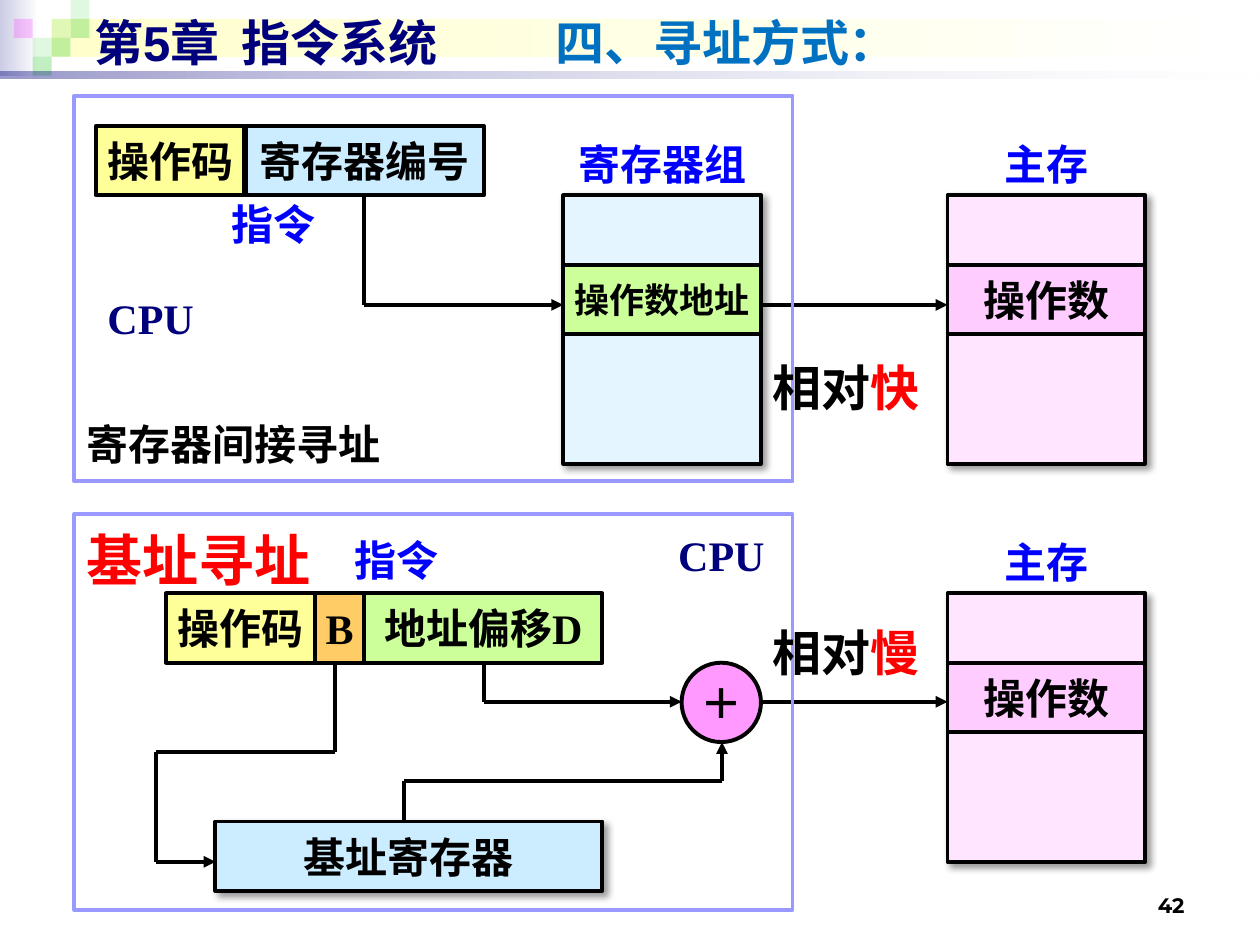
from lxml import etree
from pptx import Presentation
from pptx.dml.color import RGBColor
from pptx.enum.shapes import MSO_CONNECTOR, MSO_SHAPE
from pptx.enum.text import MSO_ANCHOR, PP_ALIGN
from pptx.oxml.ns import qn
from pptx.util import Inches, Pt

RECT, OVAL = MSO_SHAPE.RECTANGLE, MSO_SHAPE.OVAL
STRAIGHT = MSO_CONNECTOR.STRAIGHT
TOP, MIDDLE, BOTTOM = MSO_ANCHOR.TOP, MSO_ANCHOR.MIDDLE, MSO_ANCHOR.BOTTOM
LEFT, CENTER, RIGHT = PP_ALIGN.LEFT, PP_ALIGN.CENTER, PP_ALIGN.RIGHT

BLACK, WHITE, NAVY, BLUE, RED = "000000", "FFFFFF", "00007D", "0000FF", "FF0000"
SERIF, CJK = "Times New Roman", "Noto Sans CJK SC"
ROW_H = 0.55


def rgb(value):
    return RGBColor.from_string(value)


def child(parent, tag, **attrs):
    el = etree.SubElement(parent, qn(tag))
    for name, value in attrs.items():
        el.set(name, str(value))
    return el


def set_alpha(parent, percents):
    for color, percent in zip(parent.iter(qn("a:srgbClr")), percents):
        child(color, "a:alpha", val=percent * 1000)


class Diagram:
    line_width = Pt(2.25)

    def __init__(self, slide):
        self.s = slide

    def add_runs(self, sp, runs, wrap, anchor, align, size=24, font=SERIF):
        """Each run is (text, colour) or (text, colour, font)."""
        tf = sp.text_frame
        for name, value in {"word_wrap": wrap, "vertical_anchor": anchor}.items():
            setattr(tf, name, value)
        p = tf.paragraphs[0]
        p.alignment = align
        for text, color, *own_font in runs:
            r = p.add_run()
            r.text = text
            style = {"size": Pt(size), "bold": True,
                     "name": own_font[0] if own_font else font}
            for name, value in style.items():
                setattr(r.font, name, value)
            r.font.color.rgb = rgb(color)
            child(r.font._element, "a:ea", typeface=CJK)

    def text(self, x, y, w, h, *runs, anchor=TOP, align=CENTER, **style):
        sp = self.s.shapes.add_textbox(*map(Inches, (x, y, w, h)))
        self.add_runs(sp, runs, True, anchor, align, **style)

    def shape(self, x, y, w, h, fill=None, line=BLACK, kind=RECT):
        sp = self.s.shapes.add_shape(kind, *map(Inches, (x, y, w, h)))
        sp.shadow.inherit = False
        if fill:
            sp.fill.solid()
            sp.fill.fore_color.rgb = rgb(fill)
        else:
            sp.fill.background()
        if line:
            sp.line.color.rgb = rgb(line)
            sp.line.width = self.line_width
        else:
            sp.line.fill.background()
        return sp

    def box(self, x, y, w, h, fill, label="", shadow=False, size=24, kind=RECT):
        sp = self.shape(x, y, w, h, fill, kind=kind)
        if label:
            self.add_runs(sp, [(label, BLACK)], False, MIDDLE, CENTER, size)
        if shadow:
            effects = sp._element.spPr.find(qn("a:effectLst"))
            outer = child(effects, "a:outerShdw", blurRad=Pt(4), dist=Pt(3),
                          dir=45 * 60000, algn="tl", rotWithShape=0)
            child(outer, "a:srgbClr", val=BLACK)
            set_alpha(outer, [40])

    def tint(self, x, y, w, h, color, percent):
        sp = self.shape(x, y, w, h, color, line=None)
        set_alpha(sp._element.spPr, [percent])

    def gradient(self, x, y, w, h, color, alphas=()):
        sp = self.shape(x, y, w, h, line=None)
        sp.fill.gradient()
        sp.fill.gradient_angle = 0
        for stop, value in zip(sp.fill.gradient_stops, (color, WHITE)):
            stop.color.rgb = rgb(value)
        set_alpha(sp._element.spPr, alphas)

    def wire(self, *points):
        """Straight segments through the points, arrowhead on the last one."""
        for start, end in zip(points, points[1:]):
            sp = self.s.shapes.add_connector(STRAIGHT, *map(Inches, start + end))
            sp.line.color.rgb = rgb(BLACK)
            sp.line.width = self.line_width
            if end == points[-1]:
                child(sp._element.spPr.find(qn("a:ln")), "a:tailEnd", type="triangle")
            child(sp._element.spPr, "a:effectLst")

    def storage(self, x, y, title, fill, row_fill, label, size=24):
        """Titled block of cells with one labelled row."""
        self.box(x, y, 1.57, 2.13, fill, shadow=True)
        self.box(x, y + ROW_H, 1.57, ROW_H, row_fill, label, size=size)
        self.text(x, y - 0.5, 1.57, 0.5, (title, BLUE))

    def memory(self, y):
        self.storage(7.52, y, "主存", "FFE5FF", "FFCCFF", "操作数")

    def cpu(self, y, h, label_x, label_y):
        self.shape(0.59, y, 5.7, h, line="9999FF")
        self.text(label_x, label_y, 0.91, 0.5, ("CPU", NAVY))

    def speed(self, y, word):
        self.text(6.02, y, 1.39, 0.57, ("相对", BLACK), (word, RED, CJK), size=28)


def main():
    prs = Presentation()
    prs.slide_width, prs.slide_height = Inches(10), Inches(7.5)
    d = Diagram(prs.slides.add_slide(prs.slide_layouts[6]))

    # Header decoration
    d.gradient(0, 0, 0.31, 0.6, "CCCCE6")
    d.gradient(0.41, 0.15, 9.55, 0.3, "FFFFCC")
    green, pink = "33CC33", "FF00FF"
    for col, row, color, percent in [
            (2, 1, green, 15), (3, 0, green, 15), (3, 1, green, 30),
            (1, 2, green, 15), (0, 1, pink, 20), (2, 2, green, 30),
            (1, 3, green, 30)]:
        d.tint(0.11 + col * 0.15, row * 0.15, 0.15, 0.15, color, percent)
    d.gradient(0, 0.57, 10, 0.05, NAVY, (40, 10))

    # Titles and page number
    d.text(0.65, 0.05, 9, 0.57, ("第5章  指令系统", NAVY),
           anchor=MIDDLE, align=LEFT, size=28, font="Arial")
    d.text(4.31, 0.05, 2.96, 0.57, ("四、寻址方式：", "0070C0"),
           align=LEFT, size=28, font=CJK)
    d.text(7.17, 6.98, 2.33, 0.35, ("42", BLACK),
           anchor=BOTTOM, align=RIGHT, size=12, font="Montserrat")

    # Register indirect addressing
    d.storage(4.47, 1.55, "寄存器组", "E5F5FF", "CCFF99", "操作数地址", size=20)
    d.text(0.59, 3.27, 3.31, 0.5, ("寄存器间接寻址", BLACK), align=LEFT)
    d.box(0.76, 1, 1.18, ROW_H, "FFFF99", "操作码")
    d.box(1.95, 1, 1.89, ROW_H, "CCECFF", "寄存器编号")
    d.text(1.47, 1.53, 1.4, 0.5, ("指令", BLUE))
    d.wire((2.89, 1.55), (2.89, 2.42), (4.47, 2.42))
    d.memory(1.55)
    d.wire((6.04, 2.42), (7.52, 2.42))
    d.cpu(0.76, 3.06, 0.74, 2.27)
    d.speed(2.79, "快")

    # Base addressing
    d.text(0.59, 4.12, 2.44, 0.64, ("基址寻址", RED), align=LEFT, size=32)
    d.box(2.5, 4.71, 0.39, ROW_H, "FFCC66", "B")
    d.box(2.89, 4.71, 1.89, ROW_H, "CCFF99", "地址偏移D")
    d.box(1.32, 4.71, 1.18, ROW_H, "FFFF99", "操作码")
    d.text(1.61, 4.19, 3.07, 0.5, ("指令", BLUE))
    d.memory(4.71)
    d.box(5.41, 5.26, 0.63, 0.63, "FF99FF", "＋", kind=OVAL)
    d.box(1.71, 6.52, 3.07, ROW_H, "CCECFF", "基址寄存器", shadow=True)
    d.wire((3.84, 5.26), (3.84, 5.57), (5.41, 5.57))
    d.wire((6.04, 5.57), (7.52, 5.57))
    d.wire((3.21, 6.52), (3.21, 6.2), (5.73, 6.2), (5.73, 5.89))
    d.wire((2.66, 5.26), (2.66, 5.97), (1.24, 5.97), (1.24, 6.84), (1.71, 6.84))
    d.cpu(4.08, 3.14, 5.27, 4.15)
    d.speed(4.89, "慢")

    prs.save("out.pptx")


if __name__ == "__main__":
    main()
